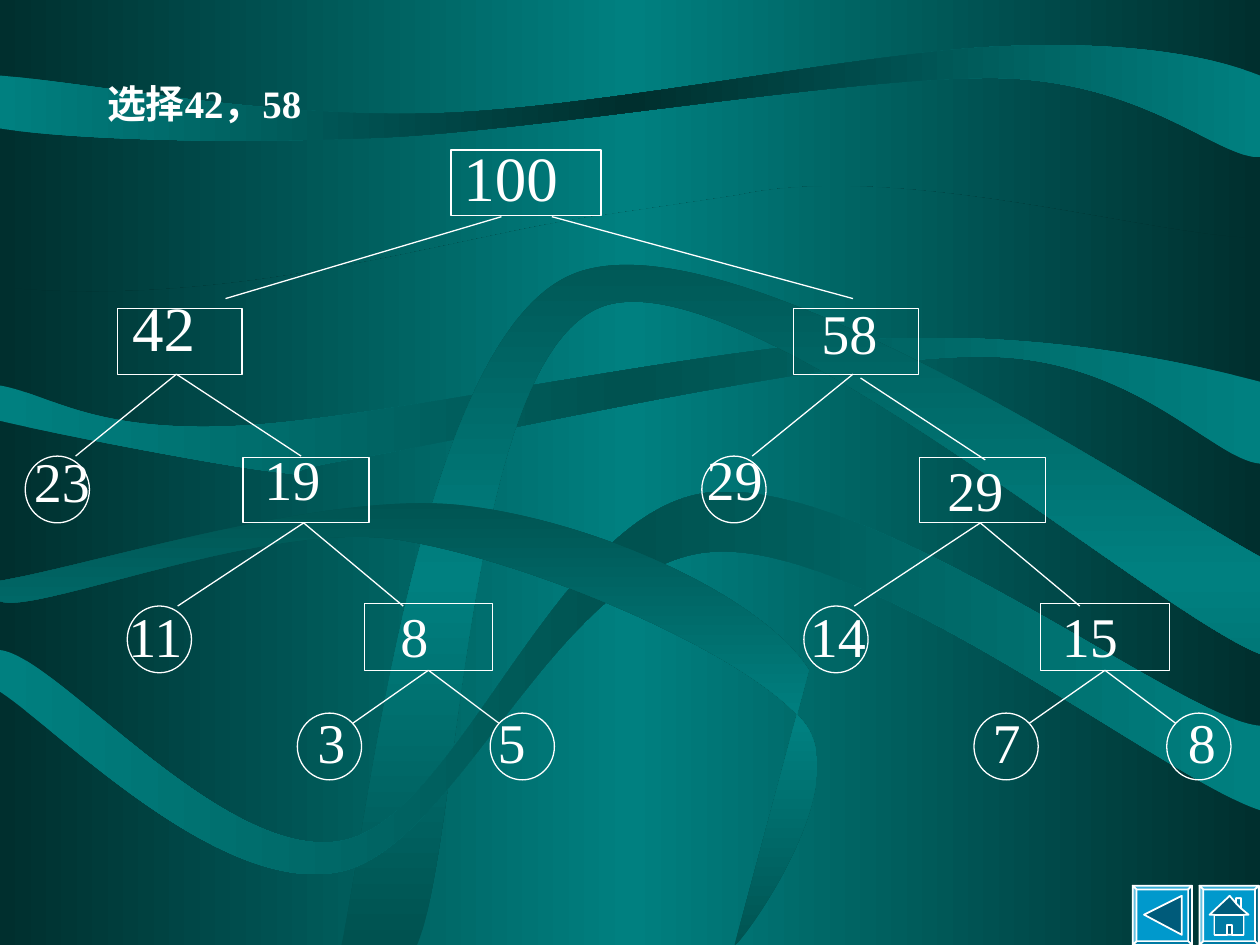
from copy import deepcopy

from lxml.etree import SubElement
from pptx import Presentation
from pptx.dml.color import RGBColor
from pptx.enum.shapes import MSO_CONNECTOR, MSO_SHAPE
from pptx.enum.text import MSO_ANCHOR, MSO_AUTO_SIZE, PP_ALIGN
from pptx.oxml.ns import qn
from pptx.util import Inches, Pt

WHITE = RGBColor(0xFF, 0xFF, 0xFF)
DARK = RGBColor(0x00, 0x2F, 0x2E)
MIDDLE = RGBColor(0x00, 0x52, 0x50)
TEAL = RGBColor(0x00, 0x80, 0x80)
BUTTON_BLUE = RGBColor(0x00, 0x99, 0xCC)
FONT = "Times New Roman"

# Ribbons: three gradient colours, angle, then the outline.
# A pair is a straight line to a point, six numbers are a Bezier curve.
RIBBONS = [
    ((DARK, TEAL, DARK), 0,
     [(0, 2.28), (1.78, 2.45, 3.4, 1.94, 4.58, 1.74),
      (4.58, 1.74, 5.67, 1.58, 5.86, 1.55),
      (7.15, 1.27, 9.17, 1.89, 10, 1.89), (10, 7.5), (0, 7.5)]),
    ((TEAL, DARK, TEAL), 0,
     [(0, 0.6), (0, 1.02), (0.51, 1.1, 1.76, 1.15, 3.08, 1.09),
      (4.4, 1.02, 6.79, 0.6, 7.94, 0.62), (9.09, 0.65, 9.66, 1.25, 10, 1.25),
      (10, 0.6), (9.65, 0.46, 9.01, 0.32, 7.92, 0.37),
      (6.82, 0.42, 4.77, 0.86, 3.45, 0.9), (2.13, 0.94, 0.72, 0.66, 0, 0.6)]),
    ((TEAL, MIDDLE, TEAL), 0,
     [(0, 3.06), (0, 3.34), (0.37, 3.43, 1.75, 3.7, 2.22, 3.75),
      (2.69, 3.8, 1.9, 3.79, 2.82, 3.64), (3.75, 3.48, 6.6, 2.82, 7.8, 2.83),
      (9, 2.83, 9.63, 3.65, 10, 3.68), (10, 3.03),
      (9.5, 2.9, 8.36, 2.63, 7.01, 2.69), (5.66, 2.74, 3.07, 3.32, 1.9, 3.38),
      (0.73, 3.44, 0.4, 3.13, 0, 3.06)]),
    ((MIDDLE, TEAL, MIDDLE), 90,
     [(2.71, 7.5), (2.91, 6.61, 3.32, 2.69, 4.54, 2.18),
      (5.75, 1.66, 9.09, 3.92, 10, 4.42), (10, 5.19),
      (9.13, 4.85, 5.91, 2.05, 4.79, 2.43),
      (3.68, 2.82, 3.66, 6.66, 3.31, 7.5)]),
    ((TEAL, MIDDLE, TEAL), 0,
     [(0, 5.16), (0, 5.49), (0.45, 5.78, 1.74, 7.11, 2.69, 6.92),
      (3.63, 6.74, 4.43, 4.46, 5.65, 4.38), (6.87, 4.29, 9.27, 6.2, 10, 6.43),
      (10, 5.76), (9.38, 5.72, 6.91, 3.77, 5.62, 3.91),
      (4.41, 4.06, 3.67, 6.46, 2.73, 6.67), (1.79, 6.87, 0.45, 5.2, 0, 5.16)]),
    ((MIDDLE, TEAL, MIDDLE), 90,
     [(0, 4.61), (0, 4.77), (0.26, 4.89, 2.08, 4.13, 3.14, 4.28),
      (4.2, 4.44, 5.92, 5.18, 6.37, 5.72), (6.82, 6.25, 5.82, 7.57, 5.83, 7.5),
      (6.42, 5.32), (6.06, 4.74, 4.73, 4.13, 3.66, 4.01),
      (2.59, 3.89, 0.76, 4.48, 0, 4.61)]),
]

# Subtree geometry, relative to its left and top edges
BRANCH_BOXES = [(0.73, 0, 0.99, 0.52), (1.73, 1.18, 1, 0.52), (2.69, 2.34, 1.02, 0.53)]
LEAF_CORNERS = [(0, 1.17), (0.81, 2.36), (2.16, 3.21), (3.69, 3.21)]
EDGES = [(1.2, 0.52, 0.4, 1.17), (2.21, 1.7, 1.21, 2.36), (3.2, 2.87, 2.6, 3.29),
         (2.21, 1.7, 3, 2.36), (3.2, 2.87, 3.76, 3.29)]
TOP_RIGHT_EDGE = (1.2, 0.52, 2.19, 1.17)

# Node values: text, left, top (relative to the subtree), width, size, tab stop
LEFT_VALUES = [("42", 0.75, -0.09, 1, 36), ("23", -0.03, 1.15, 0.99, 32),
               ("19", 1.8, 1.13, 1.19, 32), ("11", 0.72, 2.38, 0.99, 32),
               ("8", 2.88, 2.38, 1.19, 32), ("3\t5", 2.22, 3.22, 2.39, 32, 1.43)]
RIGHT_VALUES = [("58", 0.85, -0.03, 1, 32), ("29", -0.06, 1.13, 0.99, 32),
                ("29", 1.85, 1.22, 1.19, 32), ("14", 0.76, 2.38, 0.99, 32),
                ("15", 2.76, 2.38, 1.19, 32), ("7\t8", 2.21, 3.22, 2.39, 32, 1.55)]

# Button outlines with their shading, relative to the button
BEVEL = [
    ("norm", [(0, 0), (0.47, 0), (0.47, 0.47), (0, 0.47)]),
    ("lightenLess", [(0, 0), (0.47, 0), (0.44, 0.03), (0.03, 0.03)]),
    ("darken", [(0.47, 0), (0.47, 0.47), (0.44, 0.44), (0.44, 0.03)]),
    ("darkenLess", [(0.47, 0.47), (0, 0.47), (0.03, 0.44), (0.44, 0.44)]),
    ("lighten", [(0, 0.47), (0, 0), (0.03, 0.03), (0.03, 0.44)]),
]
BACK_ICON = [("darken", [(0.09, 0.23), (0.39, 0.08), (0.39, 0.39)])]
HOME_ICON = [
    ("darken", [(0.24, 0.08), (0.29, 0.14), (0.29, 0.1), (0.33, 0.1), (0.33, 0.18),
                (0.39, 0.23), (0.35, 0.23), (0.35, 0.39), (0.12, 0.39),
                (0.12, 0.23), (0.08, 0.23)]),
    ("darkenLess", [(0.29, 0.14), (0.29, 0.1), (0.33, 0.1), (0.33, 0.18)]),
    ("darkenLess", [(0.22, 0.31), (0.26, 0.31), (0.26, 0.39), (0.35, 0.39),
                    (0.35, 0.23), (0.12, 0.23), (0.12, 0.39), (0.22, 0.39)]),
]


def set_gradient(fill, element, colors, angle):
    fill.gradient()
    fill.gradient_angle = angle
    stops = next(element.iter(qn("a:gsLst")))
    stops.insert(1, deepcopy(stops[0]))
    for stop, color, position in zip(fill.gradient_stops, colors, (0, 0.5, 1)):
        stop.color.rgb = color
        stop.position = position


def add_ribbon(slide, outline):
    """Build on all points, then join each curve's three points."""
    points = [(Inches(segment[i]), Inches(segment[i + 1]))
              for segment in outline for i in range(0, len(segment), 2)]
    builder = slide.shapes.build_freeform(*points[0])
    builder.add_line_segments(points[1:], close=True)
    ribbon = builder.convert_to_shape()
    lines = iter(list(ribbon.element.iter(qn("a:lnTo"))))
    for segment in outline[1:]:
        line = next(lines)
        if len(segment) == 6:
            line.tag = qn("a:cubicBezTo")
            for _ in range(2):
                extra = next(lines)
                line.append(extra[0])
                extra.getparent().remove(extra)
    return ribbon


def add_background(slide, master):
    set_gradient(master.background.fill, master.element, (DARK, TEAL, DARK), 0)
    for index, (colors, angle, outline) in enumerate(RIBBONS):
        ribbon = add_ribbon(slide, outline)
        ribbon.shadow.inherit = False
        ribbon.line.fill.background()
        set_gradient(ribbon.fill, ribbon.element, colors, angle)
        # Ribbons belong to the master, behind its placeholders
        next(ribbon.element.iter(qn("p:cNvPr"))).set("id", str(100 + index))
        master.shapes.element.insert(2 + index, ribbon.element)


def add_run(paragraph, text, size, bold=False):
    run = paragraph.add_run()
    run.text = text
    run.font.name = FONT
    run.font.size = Pt(size)
    run.font.bold = bold
    run.font.color.rgb = WHITE


def add_title(slide, left, top, width, height):
    title = slide.shapes.title
    title.left, title.top = Inches(left), Inches(top)
    title.width, title.height = Inches(width), Inches(height)
    frame = title.text_frame
    frame.auto_size = MSO_AUTO_SIZE.NONE
    frame.vertical_anchor = MSO_ANCHOR.TOP
    frame.paragraphs[0].alignment = PP_ALIGN.LEFT
    add_run(frame.paragraphs[0], "选择42，58", 22.2, bold=True)


def add_value(slide, text, left, top, width, size, tab=None):
    box = slide.shapes.add_textbox(Inches(left), Inches(top), Inches(width), Inches(0.65))
    box.text_frame.word_wrap = True
    paragraph = box.text_frame.paragraphs[0]
    paragraph.alignment = PP_ALIGN.JUSTIFY
    paragraph.line_spacing = 0.8
    if tab:
        properties = next(paragraph._p.iter(qn("a:pPr")))
        tabs = SubElement(properties, qn("a:tabLst"))
        SubElement(tabs, qn("a:tab"), pos=str(Inches(tab)), algn="l")
    add_run(paragraph, text, size)


def add_node(slide, kind, left, top, width, height):
    node = slide.shapes.add_shape(
        kind, Inches(left), Inches(top), Inches(width), Inches(height))
    node.shadow.inherit = False
    node.fill.background()
    node.line.color.rgb = WHITE
    node.line.width = Pt(0.75)


def add_edge(slide, x1, y1, x2, y2):
    edge = slide.shapes.add_connector(
        MSO_CONNECTOR.STRAIGHT, Inches(x1), Inches(y1), Inches(x2), Inches(y2))
    edge.line.color.rgb = WHITE
    edge.line.width = Pt(0.75)
    SubElement(edge.element.spPr, qn("a:effectLst"))


def add_subtree(slide, left, top, values, shift=(0, 0)):
    """Draw one half of the tree; shift moves its top right edge."""
    for x, y, width, height in BRANCH_BOXES:
        add_node(slide, MSO_SHAPE.RECTANGLE, left + x, top + y, width, height)
    for x, y in LEAF_CORNERS:
        add_node(slide, MSO_SHAPE.OVAL, left + x, top + y, 0.51, 0.53)
    top_edge = [value + shift[i % 2] for i, value in enumerate(TOP_RIGHT_EDGE)]
    for x1, y1, x2, y2 in [*EDGES, top_edge]:
        add_edge(slide, left + x1, top + y1, left + x2, top + y2)
    for text, x, y, *style in values:
        add_value(slide, text, left + x, top + y, *style)


def add_root(slide, left, top):
    add_node(slide, MSO_SHAPE.RECTANGLE, left, top, 1.19, 0.52)
    add_value(slide, "100", left, top - 0.02, 1.59, 36)
    add_edge(slide, left + 0.4, top + 0.53, left - 1.79, top + 1.18)
    add_edge(slide, left + 0.8, top + 0.53, left + 3.19, top + 1.18)


def add_button(slide, left, top, icon):
    contours = [(shade, [(Inches(left + x), Inches(top + y)) for x, y in points])
                for shade, points in BEVEL + icon]
    builder = slide.shapes.build_freeform(*contours[0][1][0])
    for index, (_, points) in enumerate(contours):
        if index:
            builder.move_to(*points[0])
        builder.add_line_segments(points[1:], close=True)
    button = builder.convert_to_shape()
    button.shadow.inherit = False
    button.fill.solid()
    button.fill.fore_color.rgb = BUTTON_BLUE
    button.line.color.rgb = WHITE
    button.line.width = Pt(1)
    # Give each contour its own shaded path
    whole = next(button.element.iter(qn("a:path")))
    shades = iter(contours)
    for command in list(whole):
        if command.tag == qn("a:moveTo"):
            part = SubElement(whole.getparent(), qn("a:path"), w=whole.get("w"),
                              h=whole.get("h"), fill=next(shades)[0])
        part.append(command)
    whole.getparent().remove(whole)


def main():
    presentation = Presentation()
    presentation.slide_width, presentation.slide_height = Inches(10), Inches(7.5)
    slide = presentation.slides.add_slide(presentation.slide_layouts[5])
    add_background(slide, presentation.slide_master)
    add_title(slide, 0.75, 0.58, 2, 0.5)
    add_root(slide, 3.58, 1.19)
    add_subtree(slide, 0.2, 2.45, LEFT_VALUES)
    add_subtree(slide, 5.57, 2.45, RIGHT_VALUES, shift=(0.06, 0.03))
    add_button(slide, 8.99, 7.03, BACK_ICON)
    add_button(slide, 9.52, 7.03, HOME_ICON)
    presentation.save("out.pptx")


if __name__ == "__main__":
    main()
